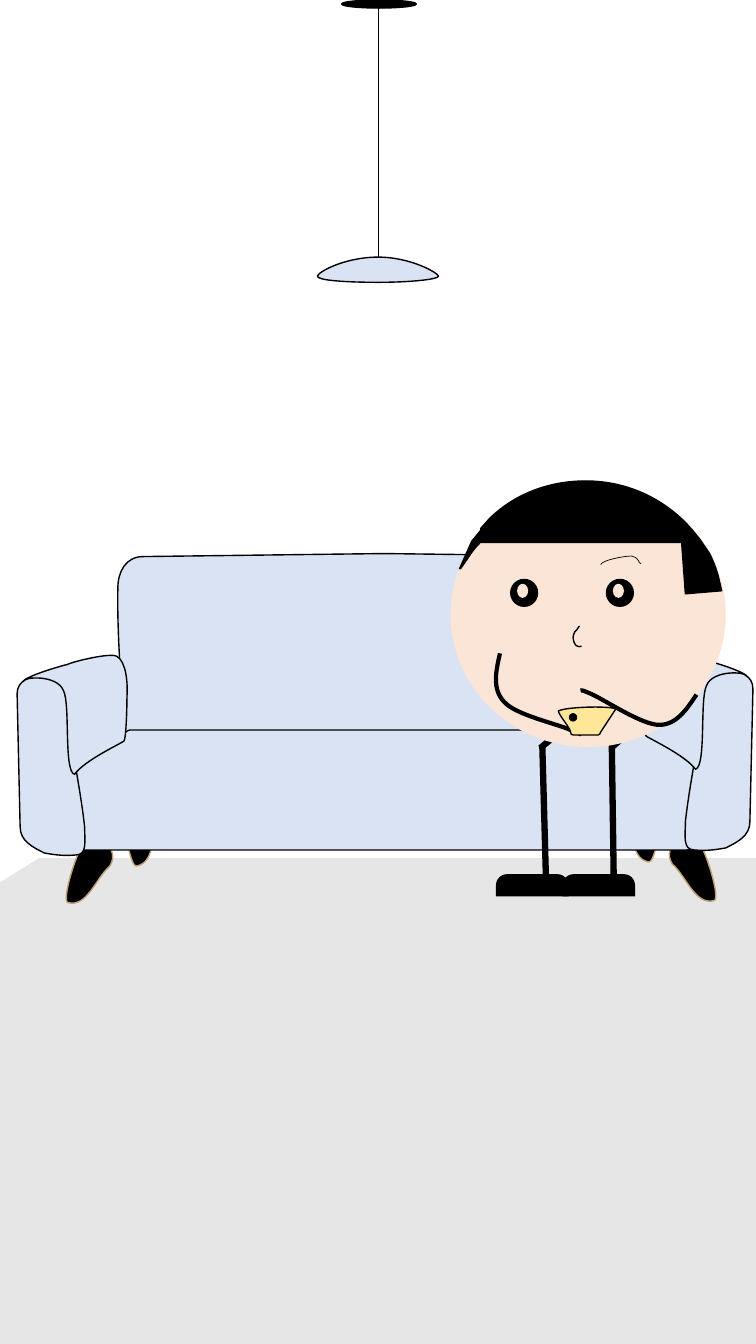
from lxml import etree
from pptx import Presentation
from pptx.dml.color import RGBColor
from pptx.enum.shapes import MSO_CONNECTOR, MSO_SHAPE
from pptx.oxml.ns import qn
from pptx.util import Pt

PX = 9144  # EMU per px, 100 px to the inch
RECTANGLE = MSO_SHAPE.RECTANGLE
ELLIPSE = MSO_SHAPE.OVAL
SHOE = MSO_SHAPE.ROUND_2_SAME_RECTANGLE
STRAIGHT = MSO_CONNECTOR.STRAIGHT

BLACK, WHITE, FLOOR = "000000", "FFFFFF", "E7E6E6"
FABRIC, WOOD_EDGE, SKIN, PHONE = "DAE3F3", "C0A175", "FBE5D6", "FFE699"

# Outlines: points in px; after L each point is a line, after C each three are a curve
SOFA_FRONT_LEG = ("673,834 C 681,830 691,832 696,840 702,850 714,889 709,893 "
                  "690,899 681,869 667,857 661,847 665,839 673,834")
SOFA_BACK_LEG = ("637,786 C 646,785 654,792 655,801 656,812 651,853 644,855 "
                 "624,852 629,821 622,804 621,793 627,787 637,786")
SOFA_BACK = ("117,583 C 117,567 125,552 142,552 L 381,549 616,552 "
             "C 633,552 646,565 646,581 L 646,731 C 646,747 633,760 616,760 "
             "L 142,760 C 125,760 123,747 123,731 121,682 116,632 117,583")
SOFA_SEAT = ("129,724 L 636,724 C 639,724 678,750 688,760 L 689,762 692,762 "
             "C 701,766 707,775 707,786 L 707,817 C 707,832 696,843 681,843 "
             "L 83,843 C 68,843 57,832 57,817 L 57,786 C 57,775 63,766 73,762 "
             "L 77,761 C 89,751 125,724 129,724")
ARMREST_FRONT = ("698,689 C 698,676 709,665 721,665 734,665 747,670 747,683 "
                 "L 744,815 C 744,829 732,835 720,841 709,843 700,844 689,843 "
                 "677,843 680,829 680,815 685,770 695,731 698,689")
ARMREST_TOP = ("641,730 C 639,728 638,700 638,686 637,672 639,651 648,646 "
               "654,642 691,651 697,654 713,658 740,667 741,671 "
               "741,666 707,664 701,680 694,693 701,760 690,763 "
               "680,749 643,732 641,730")
LAMP_SHADE = ("315,274 C 315,270 342,255 375,255 408,255 435,271 435,274 "
              "435,277 408,280 375,280 342,280 315,278 315,274")
RIGHT_ARM = ("691,689 C 681,704 671,719 654,719 637,719 601,695 588,689 "
             "575,683 576,685 576,685")
LEFT_ARM = ("496,648 C 492,666 488,683 500,696 511,709 553,718 566,724 "
            "579,729 577,729 577,729")
NOSE = ("575,621 C 574,621 574,622 574,622 573,623 573,624 572,625 "
        "571,626 569,627 569,630 568,632 569,636 570,638 "
        "571,640 572,641 573,641 574,642 575,641 577,641")
HAIR_TOP = ("581,477 C 628,477 669,500 694,535 L 696,538 477,538 477,524 "
            "485,515 C 509,491 543,477 581,477")
HAIR_RIGHT = ("676,534 L 693,533 704,549 C 708,557 711,565 713,573 "
              "L 716,586 680,589 676,534")
HAIR_LEFT = ("496,522 L 487,518 477,526 468,537 456,564 457,564 464,554 "
             "C 469,546 474,540 481,534 L 496,522")
PHONE_BODY = ("554,705 C 563,701 603,700 611,703 L 596,726 "
              "C 596,728 594,729 593,729 L 569,729 C 567,729 566,728 566,726 "
              "566,722 554,709 554,705")
EYEBROW = "636,559 C 633,559 635,554 628,552 628,550 597,555 596,560"


def color(hex_value):
    return RGBColor.from_string(hex_value)


def style(shape, fill, line, width):
    shape.shadow.inherit = False
    if fill:
        shape.fill.solid()
        shape.fill.fore_color.rgb = color(fill)
    else:
        shape.fill.background()
    if line:
        shape.line.color.rgb = color(line)
        shape.line.width = Pt(width)
    else:
        shape.line.fill.background()


def add_preset(slide, kind, box, fill, line=None):
    shape = slide.shapes.add_shape(kind, *(value * PX for value in box))
    style(shape, fill, line, 1)
    return shape


def add_line(slide, start, end, width):
    ends = [value * PX for value in (*start, *end)]
    connector = slide.shapes.add_connector(STRAIGHT, *ends)
    connector.line.color.rgb = color(BLACK)
    connector.line.width = Pt(width)
    etree.SubElement(connector._element.spPr, qn("a:effectLst"))


def read_outline(outline):
    """Return the points, and the index of the first point of each curve."""
    points, curve_starts, mode, since = [], [], "L", 0
    for token in outline.split():
        if token in "LC":
            mode, since = token, 0
            continue
        if mode == "C" and since % 3 == 0:
            curve_starts.append(len(points))
        points.append(tuple(int(value) for value in token.split(",")))
        since += 1
    return points, curve_starts


def add_outline(slide, outline, fill=None, line=BLACK, width=1, mirror=None):
    """mirror is (sum of left and right x, shift down)."""
    points, curve_starts = read_outline(outline)
    if mirror:
        points = [(mirror[0] - x, y + mirror[1]) for x, y in points]
    builder = slide.shapes.build_freeform(*points[0], scale=PX)
    builder.add_line_segments(points[1:], close=fill is not None)
    shape = builder.convert_to_shape()
    # Join three line steps into one Bezier curve
    segments = shape._element.xpath(".//a:path")[0].findall(qn("a:lnTo"))
    for start in curve_starts:
        first, *others = segments[start - 1:start + 2]
        first.tag = qn("a:cubicBezTo")
        for other in others:
            first.append(other[0])
            other.getparent().remove(other)
    style(shape, fill, line, width)


def add_pair(slide, outline, mirror, fill, line):
    for side in (None, mirror):
        add_outline(slide, outline, fill, line, mirror=side)


def draw_room(slide):
    background = slide.background.fill
    background.solid()
    background.fore_color.rgb = color(FLOOR)
    add_outline(slide, "0,0 L 36,0 45,847 0,875 0,0", WHITE, None)
    add_outline(slide, "29,0 L 255,0 261,661 42,850 29,0", WHITE, None)
    add_preset(slide, RECTANGLE, (32, 0, 718, 851), WHITE)


def draw_lamp(slide):
    add_preset(slide, ELLIPSE, (339, 0, 74, 8), BLACK, BLACK)
    add_line(slide, (375, 4), (375, 255), 0.5)
    add_outline(slide, LAMP_SHADE, FABRIC)


def draw_sofa(slide):
    add_pair(slide, SOFA_FRONT_LEG, (776, 2), BLACK, WOOD_EDGE)
    add_pair(slide, SOFA_BACK_LEG, (779, 4), BLACK, WOOD_EDGE)
    add_outline(slide, SOFA_BACK, FABRIC)
    add_outline(slide, SOFA_SEAT, FABRIC)
    add_pair(slide, ARMREST_FRONT, (764, 5), FABRIC, BLACK)
    add_pair(slide, ARMREST_TOP, (764, 5), FABRIC, BLACK)


def draw_person(slide):
    # Legs, head and shoes
    for start, end in (((636, 716), (606, 742)), ((566, 717), (536, 742)),
                       ((607, 740), (609, 880)), ((538, 739), (542, 884))):
        add_line(slide, start, end, 4.5)
    add_preset(slide, ELLIPSE, (447, 478, 273, 263), SKIN)
    for left in (492, 558):
        shoe = add_preset(slide, SHOE, (left, 867, 72, 22), BLACK)
        shoe.adjustments[0] = 0.5
        shoe.adjustments[1] = 0

    # Face and arms
    add_outline(slide, RIGHT_ARM, width=3)
    add_outline(slide, NOSE)
    for eye_left, pupil_left in ((601, 608), (506, 513)):
        add_preset(slide, ELLIPSE, (eye_left, 574, 28, 28), BLACK)
        add_preset(slide, ELLIPSE, (pupil_left, 579, 11, 14), SKIN)
    add_outline(slide, LEFT_ARM, width=3)

    # Hair, phone and eyebrow
    for hair in (HAIR_TOP, HAIR_RIGHT, HAIR_LEFT):
        add_outline(slide, hair, BLACK)
    add_outline(slide, PHONE_BODY, PHONE)
    add_preset(slide, ELLIPSE, (565, 708, 7, 7), BLACK, BLACK)
    add_outline(slide, EYEBROW, width=0.5)


def main():
    presentation = Presentation()
    presentation.slide_width = 750 * PX
    presentation.slide_height = 1333 * PX
    slide = presentation.slides.add_slide(presentation.slide_layouts[6])
    draw_room(slide)
    draw_lamp(slide)
    draw_sofa(slide)
    draw_person(slide)
    presentation.save("out.pptx")


if __name__ == "__main__":
    main()
